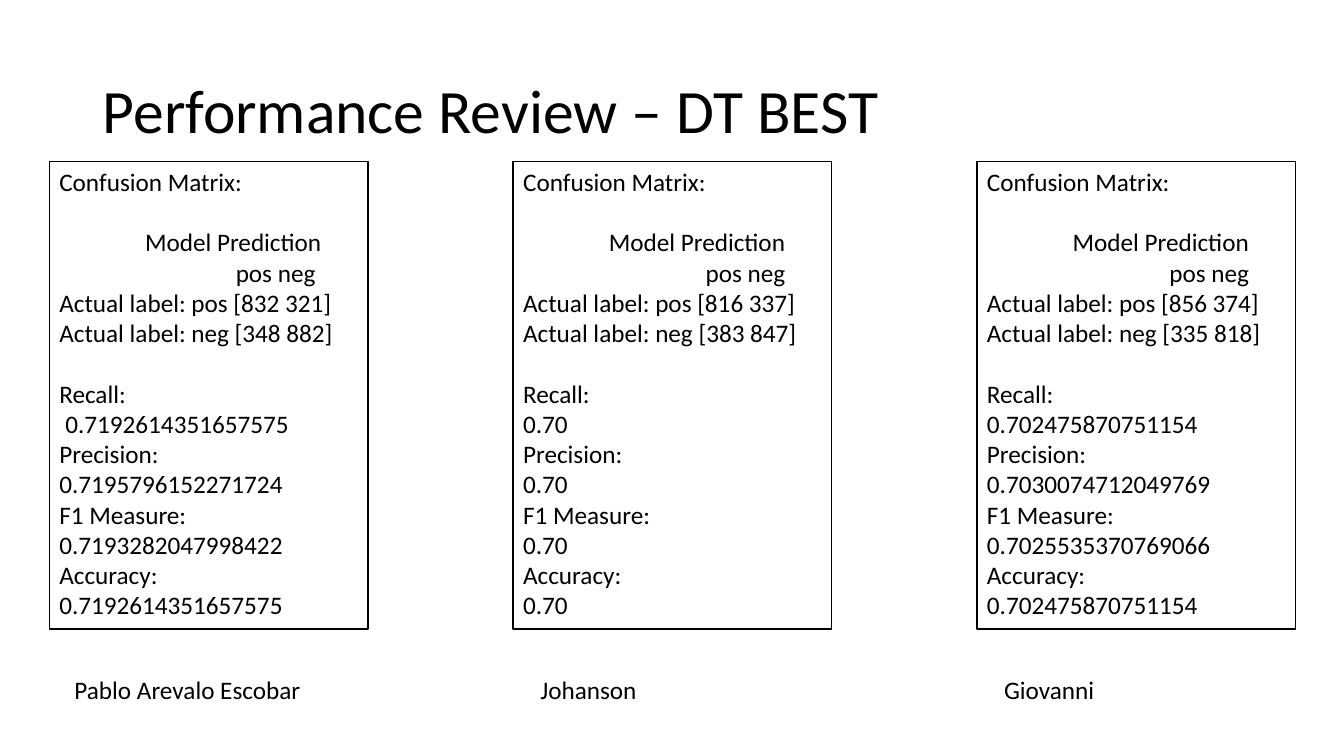
from dataclasses import dataclass

from pptx import Presentation
from pptx.dml.color import RGBColor
from pptx.enum.shapes import MSO_SHAPE
from pptx.enum.text import MSO_ANCHOR, MSO_AUTO_SIZE, PP_ALIGN
from pptx.util import Inches, Pt

RECT = MSO_SHAPE.RECTANGLE
LEFT = PP_ALIGN.LEFT
TOP, MIDDLE = MSO_ANCHOR.TOP, MSO_ANCHOR.MIDDLE
NO_FIT = MSO_AUTO_SIZE.NONE
TITLE_ONLY = 5


@dataclass(frozen=True)
class Theme:
    font: str = "Calibri"
    ink: RGBColor = RGBColor(0, 0, 0)
    paper: RGBColor = RGBColor(255, 255, 255)
    title: int = 44
    body: int = 18
    gap: float = 21.6
    line: int = 1


class Deck:
    def __init__(self, prs, theme):
        self.theme = theme
        self.s = prs.slides.add_slide(prs.slide_layouts[TITLE_ONLY])

    def paragraph(self, p, text, size, indent=0, gap=0):
        p.alignment = LEFT
        p.space_before = Pt(gap)
        if indent:
            p._p.get_or_add_pPr().set("marL", str(Inches(indent)))
        r = p.add_run()
        r.text = text
        r.font.name = self.theme.font
        r.font.size = Pt(size)
        r.font.color.rgb = self.theme.ink

    def fill_text(self, tf, lines, anchor=TOP):
        tf.word_wrap = True
        tf.auto_size = NO_FIT
        tf.vertical_anchor = anchor
        for i, (text, indent, gap) in enumerate(lines):
            p = tf.add_paragraph() if i else tf.paragraphs[0]
            self.paragraph(p, text, self.theme.body, indent, gap)

    def title(self, text, x, y, w, h):
        sp = self.s.shapes.title
        sp.left, sp.top, sp.width, sp.height = map(Inches, (x, y, w, h))
        tf = sp.text_frame
        tf.auto_size = NO_FIT
        tf.vertical_anchor = MIDDLE
        p = tf.paragraphs[0]
        p.line_spacing = 0.9
        self.paragraph(p, text, self.theme.title)

    def panel(self, lines, x, y, w, h):
        sp = self.s.shapes.add_shape(RECT, *map(Inches, (x, y, w, h)))
        sp.shadow.inherit = False
        sp.fill.solid()
        sp.fill.fore_color.rgb = self.theme.paper
        sp.line.color.rgb = self.theme.ink
        sp.line.width = Pt(self.theme.line)
        self.fill_text(sp.text_frame, lines)

    def label(self, text, x, y, w, h):
        sp = self.s.shapes.add_textbox(*map(Inches, (x, y, w, h)))
        self.fill_text(sp.text_frame, [(text, 0, 0)])


def review_lines(matrix, scores, header_indent, recall_indent, gap):
    """Lines of one panel as (text, left indent, space before)."""
    lines = [("Confusion Matrix:", 0, 0),
             ("Model Prediction", 0.85, gap),
             ("pos neg", header_indent, 0)]
    for name, (pos, neg) in zip(("pos", "neg"), matrix):
        lines.append((f"Actual label: {name} [{pos} {neg}]", 0, 0))
    for i, (name, score) in enumerate(zip(METRICS, scores)):
        lines.append((f"{name}:", 0, 0 if i else gap))
        lines.append((score, 0 if i else recall_indent, 0))
    return lines


METRICS = ("Recall", "Precision", "F1 Measure", "Accuracy")

# Person, confusion matrix, scores, pos/neg indent, recall indent, label left
REVIEWS = [
    ("Pablo Arevalo Escobar", ((832, 321), (348, 882)),
     ("0.7192614351657575", "0.7195796152271724",
      "0.7193282047998422", "0.7192614351657575"), 1.75, 0.06, 0.64),
    ("Johanson", ((816, 337), (383, 847)), ("0.70",) * 4, 1.81, 0, 5.26),
    ("Giovanni", ((856, 374), (335, 818)),
     ("0.702475870751154", "0.7030074712049769",
      "0.7025535370769066", "0.702475870751154"), 1.81, 0, 9.86),
]
PANEL_LEFT, PANEL_STEP = 0.49, 4.6

prs = Presentation()
prs.slide_width, prs.slide_height = Inches(13.33), Inches(7.5)
theme = Theme()
deck = Deck(prs, theme)

# Title
deck.title("Performance Review – DT BEST", 0.92, 0.4, 11.5, 1.45)

# One panel and name per reviewed model
for i, (person, matrix, scores, header, recall, label_x) in enumerate(REVIEWS):
    lines = review_lines(matrix, scores, header, recall, theme.gap)
    deck.panel(lines, PANEL_LEFT + i * PANEL_STEP, 1.6, 3.16, 4.64)
    deck.label(person, label_x, 6.64, 2.82, 0.4)

prs.save("out.pptx")
